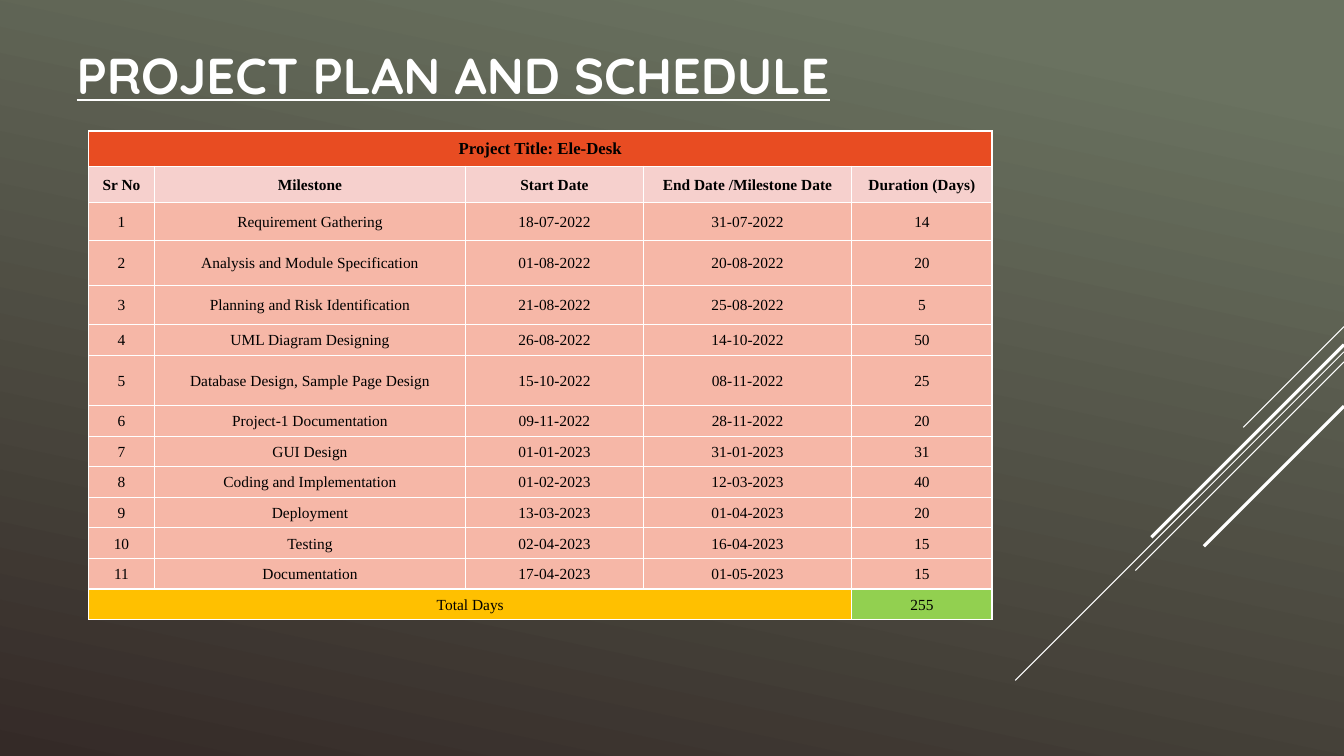
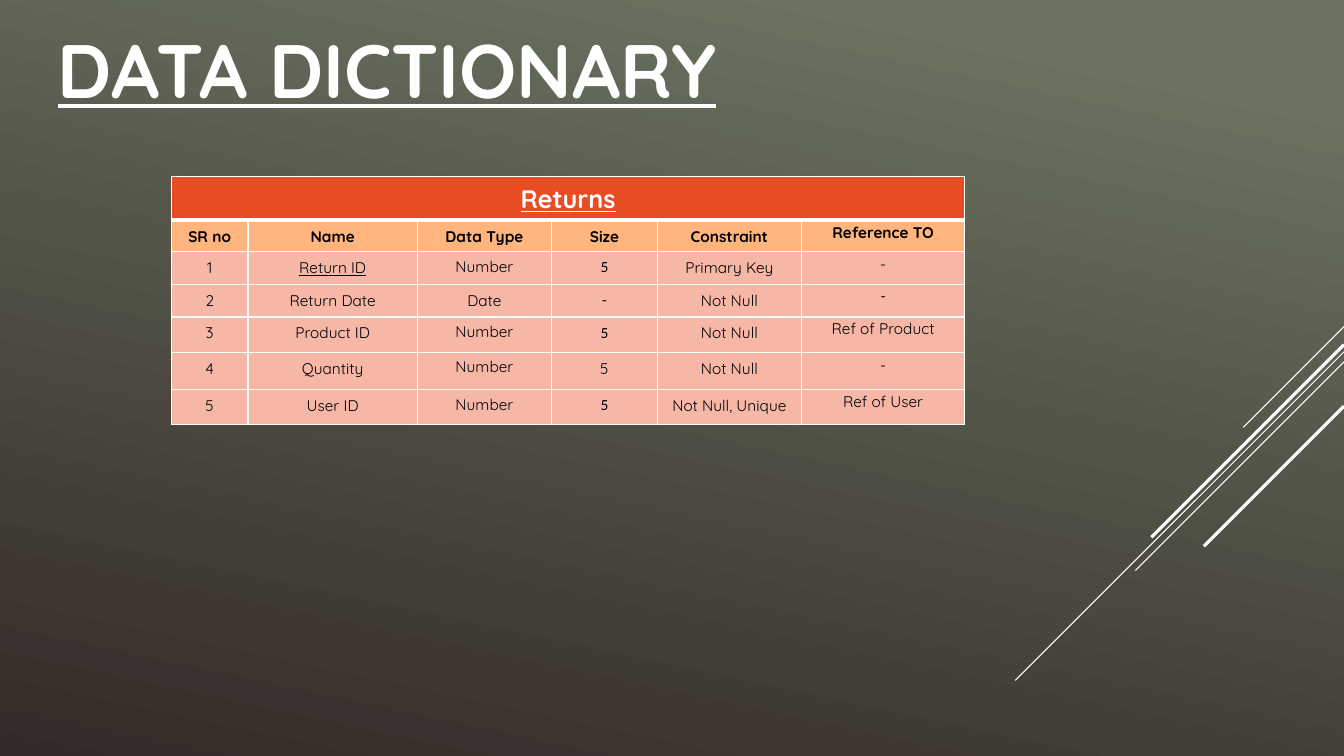
import pptx
import pptx.dml.color
import pptx.enum.dml
import pptx.enum.shapes
import pptx.enum.text
import pptx.oxml
import pptx.oxml.ns
import pptx.util
from lxml import etree

RGB = pptx.dml.color.RGBColor
Inches, Pt = pptx.util.Inches, pptx.util.Pt
ALIGN, ANCHOR = pptx.enum.text.PP_ALIGN, pptx.enum.text.MSO_ANCHOR

# Shared look
WIDTH, HEIGHT = 13.33, 7.5
WHITE, BLACK = RGB(0xFF, 0xFF, 0xFF), RGB(0, 0, 0)
MOSS, UMBER = RGB(0x6A, 0x72, 0x60), RGB(0x34, 0x2A, 0x27)
ORANGE, SALMON = RGB(0xE8, 0x4C, 0x22), RGB(0xF6, 0xB7, 0xA7)
ROSE, PEACH = RGB(0xF6, 0xD0, 0xCD), RGB(0xFF, 0xB5, 0x7D)
AMBER, GREEN = RGB(0xFF, 0xC0, 0x00), RGB(0x92, 0xD0, 0x50)
TITLE_FONT, PLAN_FONT, PLAIN_FONT = "Quicksand", "Times New Roman", "Calibri"

# 45-degree strokes from the right edge: top, run, width in points
STROKES = [(3.24, 1, 0.75), (3.49, 3.26, 0.75), (3.59, 2.07, 0.75),
           (3.42, 1.91, 2.25), (4.03, 1.39, 2.25)]

# Project plan
PLAN_HEAD = ["Sr No", "Milestone", "Start Date", "End Date /Milestone Date", "Duration (Days)"]
MILESTONES = [
    ("Requirement Gathering", "18-07-2022", "31-07-2022", 14),
    ("Analysis and Module Specification", "01-08-2022", "20-08-2022", 20),
    ("Planning and Risk Identification", "21-08-2022", "25-08-2022", 5),
    ("UML Diagram Designing", "26-08-2022", "14-10-2022", 50),
    ("Database Design, Sample Page Design", "15-10-2022", "08-11-2022", 25),
    ("Project-1 Documentation", "09-11-2022", "28-11-2022", 20),
    ("GUI Design", "01-01-2023", "31-01-2023", 31),
    ("Coding and Implementation", "01-02-2023", "12-03-2023", 40),
    ("Deployment", "13-03-2023", "01-04-2023", 20),
    ("Testing", "02-04-2023", "16-04-2023", 15),
    ("Documentation", "17-04-2023", "01-05-2023", 15),
]
PLAN_COLUMNS = [0.65, 3.09, 1.76, 2.07, 1.39]
PLAN_HEIGHT = 4.85
PLAN_TALL_ROWS = {0: 0.35, 1: 0.36, 2: 0.38, 3: 0.44, 4: 0.39, 6: 0.5}

# Data dictionary
FIELD_HEAD = ["SR no", "Name", "Data Type", "Size", "Constraint", "Reference TO"]
FIELDS = [
    ("Return ID", "Number", "5", "Primary Key", "-"),
    ("Return Date", "Date", "-", "Not Null", "-"),
    ("Product ID", "Number", "5", "Not Null", "Ref of Product"),
    ("Quantity", "Number", "5", "Not Null", "-"),
    ("User ID", "Number", "5", "Not Null, Unique", "Ref of User"),
]
FIELD_COLUMNS = [0.76, 1.68, 1.33, 1.05, 1.43, 1.62]
FIELD_ROWS = [0.43, 0.31, 0.33, 0.32, 0.35, 0.37, 0.35]
PLAIN_CELLS = {(2, 3), (3, 3), (3, 5), (4, 3), (6, 3)}


def numbered(rows):
    return [[str(value) for value in (number, *row)] for number, row in enumerate(rows, 1)]


def add_span(para, text, font, size, color, bold=False, underline=False):
    span = para.add_run()
    span.text = text
    span.font.name, span.font.size = font, Pt(size)
    span.font.bold, span.font.underline = bold, underline
    span.font.color.rgb = color


def add_page(deck, title, box, size, align):
    page = deck.slides.add_slide(deck.slide_layouts[5])
    heading = page.shapes.title
    heading.left, heading.top, heading.width, heading.height = map(Inches, box)
    frame = heading.text_frame
    frame.auto_size = pptx.enum.text.MSO_AUTO_SIZE.NONE
    frame.vertical_anchor = ANCHOR.MIDDLE
    para = frame.paragraphs[0]
    para.alignment = align
    add_span(para, title, TITLE_FONT, size, WHITE, True, True)
    for top, run, width in STROKES:
        stroke = page.shapes.add_connector(
            pptx.enum.shapes.MSO_CONNECTOR.STRAIGHT,
            Inches(WIDTH), Inches(top), Inches(WIDTH - run), Inches(top + run))
        stroke.line.color.rgb, stroke.line.width = WHITE, Pt(width)
        properties = stroke.element.find(pptx.oxml.ns.qn("p:spPr"))
        etree.SubElement(properties, pptx.oxml.ns.qn("a:effectLst"))
    return page


def set_borders(cell, top=1, bottom=1):
    properties = cell._tc.get_or_add_tcPr()
    edges = [("L", 1), ("R", 1), ("T", top), ("B", bottom)]
    for index, (side, width) in enumerate(edges):
        properties.insert(index, pptx.oxml.parse_xml(
            f'<a:ln{side} {pptx.oxml.ns.nsdecls("a")} w="{Pt(width)}">'
            f'<a:solidFill><a:srgbClr val="{WHITE}"/></a:solidFill></a:ln{side}>'))


def add_grid(page, left, top, columns, heights, rule):
    """Add an empty white-ruled table whose first row is one banner cell."""
    grid = page.shapes.add_table(
        len(heights), len(columns), Inches(left), Inches(top),
        Inches(sum(columns)), Inches(sum(heights))).table
    for column, width in zip(grid.columns, columns):
        column.width = Inches(width)
    for index, (row, height) in enumerate(zip(grid.rows, heights)):
        row.height = Inches(height)
        for cell in row.cells:
            set_borders(cell, rule if index == 1 else 1, rule if index == 0 else 1)
    grid.cell(0, 0).merge(grid.cell(0, len(columns) - 1))
    return grid


def fill_cell(cell, text, fill, margins, anchor, spacing=1.07, **style):
    cell.fill.solid()
    cell.fill.fore_color.rgb = fill
    cell.margin_left, cell.margin_top, cell.margin_right, cell.margin_bottom = map(Inches, margins)
    cell.vertical_anchor = anchor
    para = cell.text_frame.paragraphs[0]
    para.alignment = ALIGN.CENTER
    para.line_spacing, para.space_after = spacing, Pt(8)
    add_span(para, text, **style)


def build_plan(deck):
    page = add_page(deck, "PROJECT PLAN AND SCHEDULE", (0.66, 0.02, 9.4, 1.44), 36, ALIGN.LEFT)
    total = str(sum(days for *_, days in MILESTONES))
    rows = [["Project Title: Ele-Desk"], PLAN_HEAD, *numbered(MILESTONES),
            ["Total Days", "", "", "", total]]
    last = len(rows) - 1
    # Rows without a height of their own share what is left
    short = (PLAN_HEIGHT - sum(PLAN_TALL_ROWS.values())) / (len(rows) - len(PLAN_TALL_ROWS))
    heights = [PLAN_TALL_ROWS.get(index, short) for index in range(len(rows))]
    grid = add_grid(page, 0.88, 1.3, PLAN_COLUMNS, heights, 1)
    grid.cell(last, 0).merge(grid.cell(last, 3))
    fills = {0: ORANGE, 1: ROSE, last: AMBER}
    for r, row in enumerate(rows):
        for c, text in enumerate(row):
            if text:
                fill = GREEN if (r, c) == (last, 4) else fills.get(r, SALMON)
                fill_cell(grid.cell(r, c), text, fill, (0.07, 0, 0.07, 0), ANCHOR.MIDDLE,
                          font=PLAN_FONT, size=11 if r else 12, color=BLACK, bold=r < 2)


def build_dictionary(deck):
    page = add_page(deck, "DATA DICTIONARY", (-0.86, 0.17, 9.4, 1.02), 54, ALIGN.CENTER)
    grid = add_grid(page, 1.7, 1.75, FIELD_COLUMNS, FIELD_ROWS, 3)
    fills = {0: ORANGE, 1: PEACH}
    for r, row in enumerate([["Returns"], FIELD_HEAD, *numbered(FIELDS)]):
        for c, text in enumerate(row):
            margins = (0.01, 0.01, 0.01, 0) if c == 5 else (0.1, 0.05, 0.1, 0.05)
            fill_cell(grid.cell(r, c), text, fills.get(r, SALMON), margins, ANCHOR.TOP,
                      spacing=1.0 if text == "Number" else 1.07,
                      font=PLAIN_FONT if (r, c) in PLAIN_CELLS else TITLE_FONT,
                      size=11 if r else 18, color=BLACK if r else WHITE,
                      bold=r < 2, underline=text in ("Returns", "Return ID"))


def main():
    deck = pptx.Presentation()
    deck.slide_width, deck.slide_height = Inches(WIDTH), Inches(HEIGHT)
    # Gradient shared by every slide
    backdrop = deck.slide_master.background.fill
    backdrop.gradient()
    backdrop.gradient_angle = 258
    for stop, color, position in zip(backdrop.gradient_stops, (MOSS, UMBER), (0.1, 1)):
        stop.color.rgb, stop.position = color, position
    build_plan(deck)
    build_dictionary(deck)
    deck.save("out.pptx")


if __name__ == "__main__":
    main()
